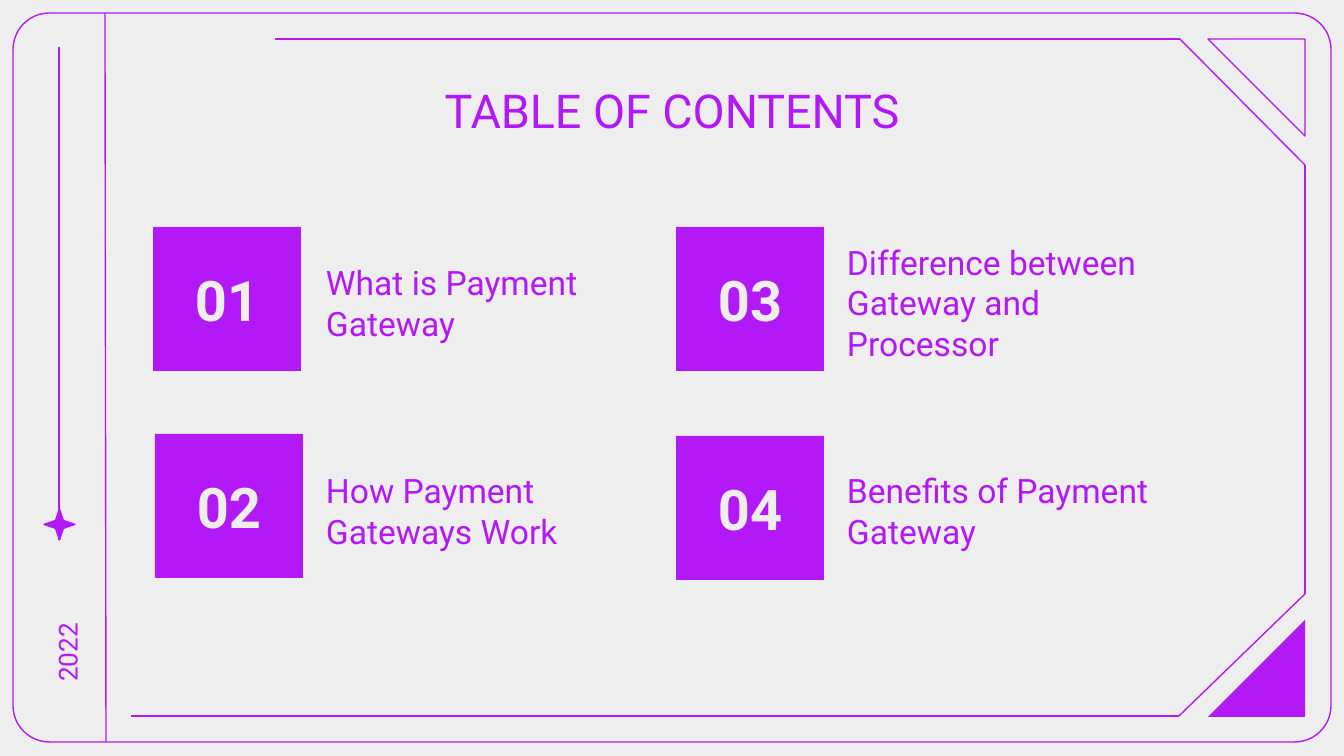
"""Build a table of contents slide with a decorated frame and four numbered topics."""
from dataclasses import dataclass

from lxml.etree import SubElement
from pptx import Presentation
from pptx.dml.color import RGBColor
from pptx.enum.shapes import MSO_CONNECTOR, MSO_SHAPE
from pptx.enum.text import MSO_ANCHOR, PP_ALIGN
from pptx.oxml.ns import qn
from pptx.util import Emu, Pt

TITLE = "TABLE OF CONTENTS"
YEAR = "2022"
TOPICS = [
    ("01", "What is Payment Gateway", (153, 227)),
    ("02", "How Payment Gateways Work", (155, 434)),
    ("03", "Difference between Gateway and Processor", (676, 227)),
    ("04", "Benefits of Payment Gateway", (676, 436)),
]
FRAME_LINES = [
    ((105, 13), (106, 742)),
    ((131, 716), (1179, 716)),
    ((1305, 594), (1179, 716)),
    ((275, 39), (1180, 39)),
    ((1305, 165), (1180, 39)),
    ((1305, 165), (1305, 594)),
]
YEAR_LINE = ((59, 540), (59, 47))

SLIDE_SIZE = (1344, 756)
TILE_SIZE = (148, 144)
LABEL_SIZE = (367, 83)
LABEL_LEFT, LABEL_TOP = 313, 261
COLUMN_PITCH, ROW_PITCH = 521, 208
ROWS = 2
INSET = 13


@dataclass(frozen=True)
class Theme:
    accent: RGBColor = RGBColor(0xB2, 0x19, 0xF6)
    paper: RGBColor = RGBColor(0xEE, 0xEE, 0xEE)
    font: str = "Roboto"
    title: int = 25
    number: int = 30
    label: int = 18
    year: int = 14
    stroke: float = 0.75


THEME = Theme()


def px(length):
    return Emu(round(length * 914400 / 134.4))


def add_line(slide, start, end):
    line = slide.shapes.add_connector(
        MSO_CONNECTOR.STRAIGHT, *map(px, (*start, *end))
    )
    line.line.color.rgb = THEME.accent
    line.line.width = Pt(THEME.stroke)
    SubElement(line.element.spPr, qn("a:effectLst"))


def add_figure(slide, preset, box, filled=False, outlined=False, rotation=0):
    figure = slide.shapes.add_shape(preset, *map(px, box))
    figure.shadow.inherit = False
    figure.rotation = rotation
    if filled:
        figure.fill.solid()
        figure.fill.fore_color.rgb = THEME.accent
    else:
        figure.fill.background()
    if outlined:
        figure.line.color.rgb = THEME.accent
        figure.line.width = Pt(THEME.stroke)
    else:
        figure.line.fill.background()
    return figure


def write(holder, text, size, color=THEME.accent, bold=False,
          align=PP_ALIGN.CENTER, anchor=MSO_ANCHOR.MIDDLE, inset_y=INSET):
    frame = holder.text_frame
    frame.word_wrap = True
    frame.vertical_anchor = anchor
    frame.margin_left = frame.margin_right = px(INSET)
    frame.margin_top = frame.margin_bottom = px(inset_y)
    paragraph = frame.paragraphs[0]
    paragraph.alignment = align
    run = paragraph.add_run()
    run.text = text
    run.font.name = THEME.font
    run.font.size = Pt(size)
    run.font.bold = bold
    run.font.color.rgb = color


def add_frame(slide):
    border = add_figure(
        slide, MSO_SHAPE.ROUNDED_RECTANGLE, (13, 13, 1318, 729), outlined=True
    )
    border.adjustments[0] = 0.05
    for start, end in FRAME_LINES:
        add_line(slide, start, end)
    add_figure(slide, MSO_SHAPE.RIGHT_TRIANGLE, (1208, 620, 97, 97),
               filled=True, rotation=270)
    add_figure(slide, MSO_SHAPE.RIGHT_TRIANGLE, (1208, 39, 97, 97),
               outlined=True, rotation=180)


def add_topics(slide):
    for index, (number, topic, corner) in enumerate(TOPICS):
        column, row = divmod(index, ROWS)
        tile = add_figure(
            slide, MSO_SHAPE.RECTANGLE, (*corner, *TILE_SIZE), filled=True
        )
        write(tile, number, THEME.number, color=THEME.paper, bold=True)
        left = LABEL_LEFT + column * COLUMN_PITCH
        top = LABEL_TOP + row * ROW_PITCH
        label = slide.shapes.add_textbox(*map(px, (left, top, *LABEL_SIZE)))
        write(label, topic, THEME.label, align=PP_ALIGN.LEFT)


def add_year(slide):
    year = slide.shapes.add_textbox(*map(px, (-4, 637, 128, 31)))
    year.rotation = 270
    write(year, YEAR, THEME.year, anchor=MSO_ANCHOR.TOP, inset_y=7)
    star = add_figure(slide, MSO_SHAPE.STAR_4_POINT, (44, 509, 31, 31),
                      filled=True, outlined=True)
    star.adjustments[0] = 0.18
    add_line(slide, *YEAR_LINE)


def main():
    deck = Presentation()
    deck.slide_width, deck.slide_height = map(px, SLIDE_SIZE)
    slide = deck.slides.add_slide(deck.slide_layouts[6])
    slide.background.fill.solid()
    slide.background.fill.fore_color.rgb = THEME.paper
    add_frame(slide)
    title = slide.shapes.add_textbox(*map(px, (129, 79, 1086, 62)))
    write(title, TITLE, THEME.title)
    add_topics(slide)
    add_year(slide)
    deck.save("out.pptx")


if __name__ == "__main__":
    main()
